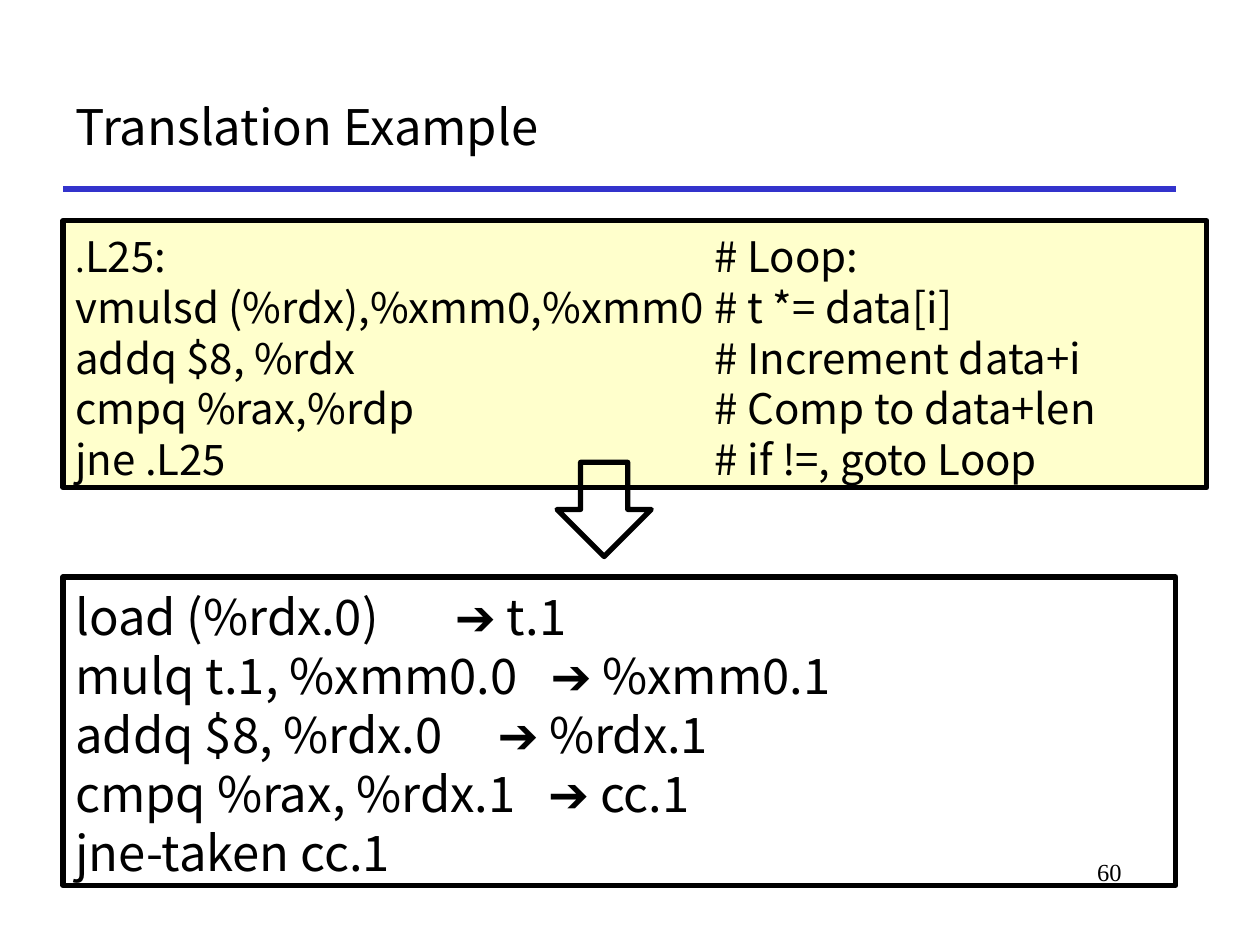
from lxml.etree import SubElement
from pptx import Presentation
from pptx.dml.color import RGBColor
from pptx.enum.shapes import MSO_CONNECTOR as Connector, MSO_SHAPE as Shape
from pptx.enum.text import MSO_ANCHOR as Anchor, PP_ALIGN as Align
from pptx.oxml.ns import qn
from pptx.util import Cm, Pt

BLACK = RGBColor(0x00, 0x00, 0x00)
BLUE = RGBColor(0x33, 0x33, 0xCC)
CREAM = RGBColor(0xFF, 0xFF, 0xCC)
SANS, SERIF = "Noto Sans CJK KR", "Times New Roman"

# Content
TITLE = "Translation Example"
PAGE_NUMBER = "60"
COMMENT_TAB = 12.7
ASSEMBLY = [  # instruction, comment
    (".L25:", "# Loop:"),
    ("vmulsd (%rdx),%xmm0,%xmm0", "# t *= data[i]"),
    ("addq $8, %rdx", "# Increment data+i"),
    ("cmpq %rax,%rdp", "# Comp to data+len"),
    ("jne .L25", "# if !=, goto Loop"),
]
OPERATIONS = [  # operation, result, tab stop of the result in cm
    ("load (%rdx.0)", "➔ t.1", 7.65),
    ("mulq t.1, %xmm0.0", "➔ %xmm0.1", 9.58),
    ("addq $8, %rdx.0", "➔ %rdx.1", 8.51),
    ("cmpq %rax, %rdx.1", "➔ cc.1", 9.53),
    ("jne-taken cc.1", None, None),
]

# Layout in cm
LEFT, WIDTH = 1.27, 22.43


def write(box, lines, size, font=SANS, align=Align.LEFT, anchor=Anchor.TOP,
          spacing=None, top=0.13):
    """Fill a box with (text, tab stop in cm or None) lines."""
    frame = box.text_frame
    frame.word_wrap = True
    frame.vertical_anchor = anchor
    frame.margin_left = frame.margin_right = Cm(0.25)
    frame.margin_top, frame.margin_bottom = Cm(top), Cm(0.13)
    for index, (text, tab) in enumerate(lines):
        para = frame.add_paragraph() if index else frame.paragraphs[0]
        para.alignment = align
        if spacing:
            para.line_spacing = Pt(spacing)
        if tab:
            stops = SubElement(para._p.get_or_add_pPr(), qn("a:tabLst"))
            SubElement(stops, qn("a:tab"), pos=str(Cm(tab)), algn="l")
        span = para.add_run()
        span.text = text
        span.font.name, span.font.size = font, Pt(size)
        span.font.color.rgb = BLACK


def add_outlined(page, kind, left, top, width, height, fill=None):
    shape = page.shapes.add_shape(kind, Cm(left), Cm(top), Cm(width), Cm(height))
    shape.shadow.inherit = False
    if fill is None:
        shape.fill.background()
    else:
        shape.fill.solid()
        shape.fill.fore_color.rgb = fill
    shape.line.color.rgb, shape.line.width = BLACK, Pt(3)
    return shape


def main():
    deck = Presentation()
    deck.slide_width, deck.slide_height = Cm(25.4), Cm(19.05)
    page = deck.slides.add_slide(deck.slide_layouts[6])

    # Title rule, page number and title
    rule = page.shapes.add_connector(
        Connector.STRAIGHT, Cm(LEFT), Cm(3.81), Cm(LEFT + WIDTH), Cm(3.81))
    rule.line.color.rgb, rule.line.width = BLUE, Pt(3)
    SubElement(rule._element.spPr, qn("a:effectLst"))
    number = page.shapes.add_textbox(Cm(19.25), Cm(17.15), Cm(3.61), Cm(1.27))
    write(number, [(PAGE_NUMBER, None)], 14, font=SERIF, align=Align.RIGHT)
    title = page.shapes.add_textbox(Cm(LEFT), Cm(1.27), Cm(WIDTH), Cm(2.54))
    write(title, [(TITLE, None)], 28, anchor=Anchor.MIDDLE)

    # Assembly code
    assembly = add_outlined(page, Shape.RECTANGLE, LEFT, 4.45, 23.06, 5.38, CREAM)
    write(assembly, [(f"{code}\t {note}", COMMENT_TAB) for code, note in ASSEMBLY],
          24, spacing=28.9, top=0.2)
    label = assembly.text_frame.paragraphs[0]
    dot = label.runs[0]
    rest = label.add_run()
    dot.text, rest.text = dot.text[:1], dot.text[1:]
    rest.font.name, rest.font.size = SANS, Pt(24)
    rest.font.color.rgb = BLACK
    dot.font.size = Pt(20)

    # Translated operations
    operations = add_outlined(page, Shape.RECTANGLE, LEFT, 11.63, WIDTH, 6.22)
    write(operations, [(f"{code}\t{result}" if result else code, tab)
                       for code, result, tab in OPERATIONS],
          28, spacing=33.7, top=0.2)

    # Arrow from code to operations
    add_outlined(page, Shape.DOWN_ARROW, 11.23, 9.32, 1.9, 1.9)

    deck.save("out.pptx")


if __name__ == "__main__":
    main()
